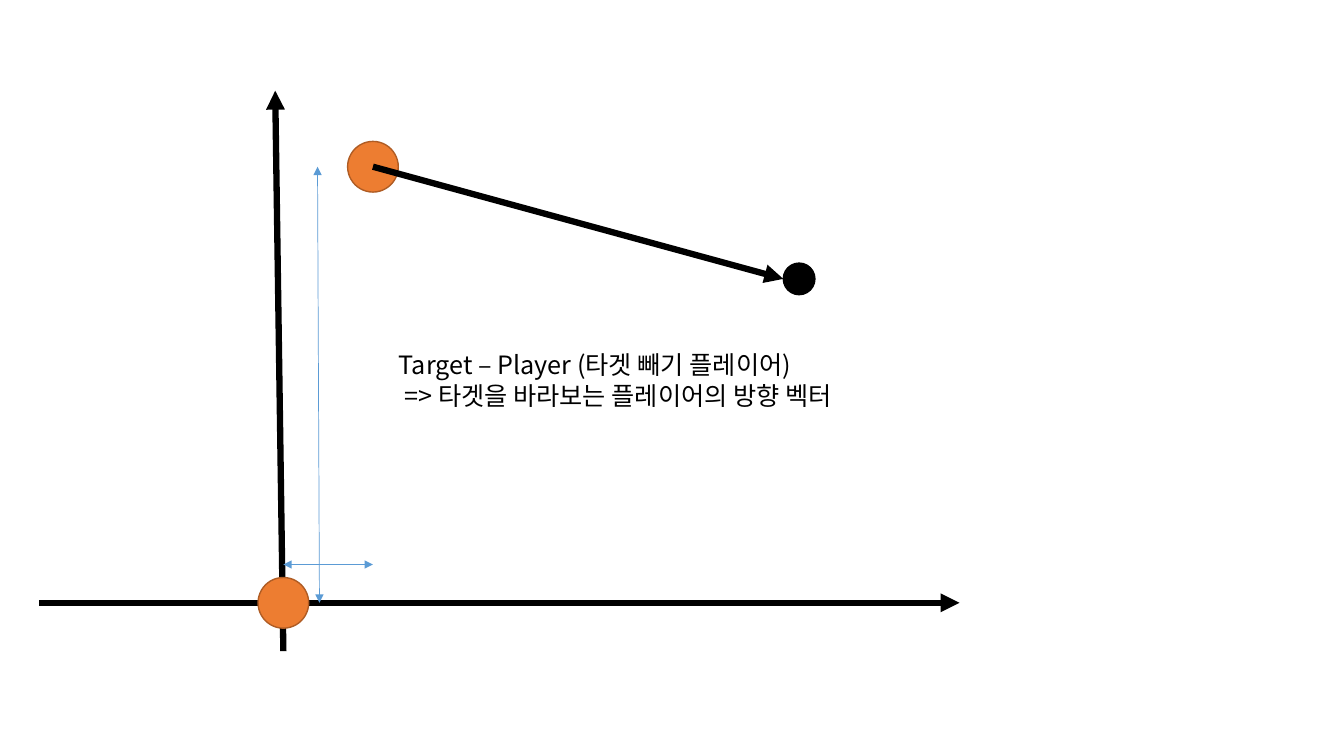
"""Draw a slide explaining the direction vector from a player to a target."""
from lxml.etree import SubElement
from pptx import Presentation
from pptx.dml.color import RGBColor
from pptx.enum.shapes import MSO_CONNECTOR as CONNECTOR, MSO_SHAPE as SHAPE
from pptx.oxml.ns import qn
from pptx.util import Pt

BLACK = RGBColor(0x00, 0x00, 0x00)
ORANGE = RGBColor(0xED, 0x7D, 0x31)
BROWN = RGBColor(0xAF, 0x5C, 0x24)
BLUE = RGBColor(0x5B, 0x9B, 0xD5)
FONT = "Noto Sans CJK KR"

ORIGIN = (202.4, 430.6)
PLAYER = (266.4, 119.1)
TARGET = (570.8, 199.2)
TARGET_SIZE = 22.6

presentation = Presentation()
presentation.slide_width = Pt(960)
presentation.slide_height = Pt(540)
slide = presentation.slides.add_slide(presentation.slide_layouts[6])


def add_arrow(start, end, color, width, ends=("tailEnd",)):
    arrow = slide.shapes.add_connector(
        CONNECTOR.STRAIGHT, *(Pt(value) for value in (*start, *end)))
    arrow.line.color.rgb = color
    arrow.line.width = Pt(width)
    properties = arrow.line._get_or_add_ln()
    for end_name in ends:
        SubElement(properties, qn(f"a:{end_name}"), type="triangle")
    SubElement(arrow._element.spPr, qn("a:effectLst"))


axes = [
    ((28.1, ORIGIN[1]), (685.4, ORIGIN[1])),
    ((202.4, 465.1), (196.6, 64.8)),
]
for start, end in axes:
    add_arrow(start, end, BLACK, 4.5)

circles = [
    (PLAYER, 36.2, ORANGE, BROWN),
    (TARGET, TARGET_SIZE, BLACK, BLACK),
    (ORIGIN, 36.2, ORANGE, BROWN),
]
for (center_x, center_y), size, fill, outline in circles:
    circle = slide.shapes.add_shape(
        SHAPE.OVAL, Pt(center_x - size / 2), Pt(center_y - size / 2), Pt(size), Pt(size))
    circle.shadow.inherit = False
    circle.fill.solid()
    circle.fill.fore_color.rgb = fill
    circle.line.color.rgb = outline
    circle.line.width = Pt(1)

add_arrow(PLAYER, (TARGET[0] - TARGET_SIZE / 2, TARGET[1]), BLACK, 4.5)

text_box = slide.shapes.add_textbox(Pt(277.9), Pt(246.2), Pt(369.4), Pt(51.1))
text_frame = text_box.text_frame
text_frame.word_wrap = True
lines = ["Target – Player (타겟 빼기 플레이어)", " => 타겟을 바라보는 플레이어의 방향 벡터"]
for index, line in enumerate(lines):
    paragraph = text_frame.add_paragraph() if index else text_frame.paragraphs[0]
    run = paragraph.add_run()
    run.text = line
    run.font.size = Pt(18)
    run.font.name = FONT
    run.font.color.rgb = BLACK
    SubElement(run.font._element, qn("a:ea"), typeface=FONT)

distances = [
    ((ORIGIN[0], 403.2), (PLAYER[0], 403.2)),
    ((228.2, ORIGIN[1]), (226.8, PLAYER[1])),
]
for start, end in distances:
    add_arrow(start, end, BLUE, 0.5, ("headEnd", "tailEnd"))

presentation.save("out.pptx")
